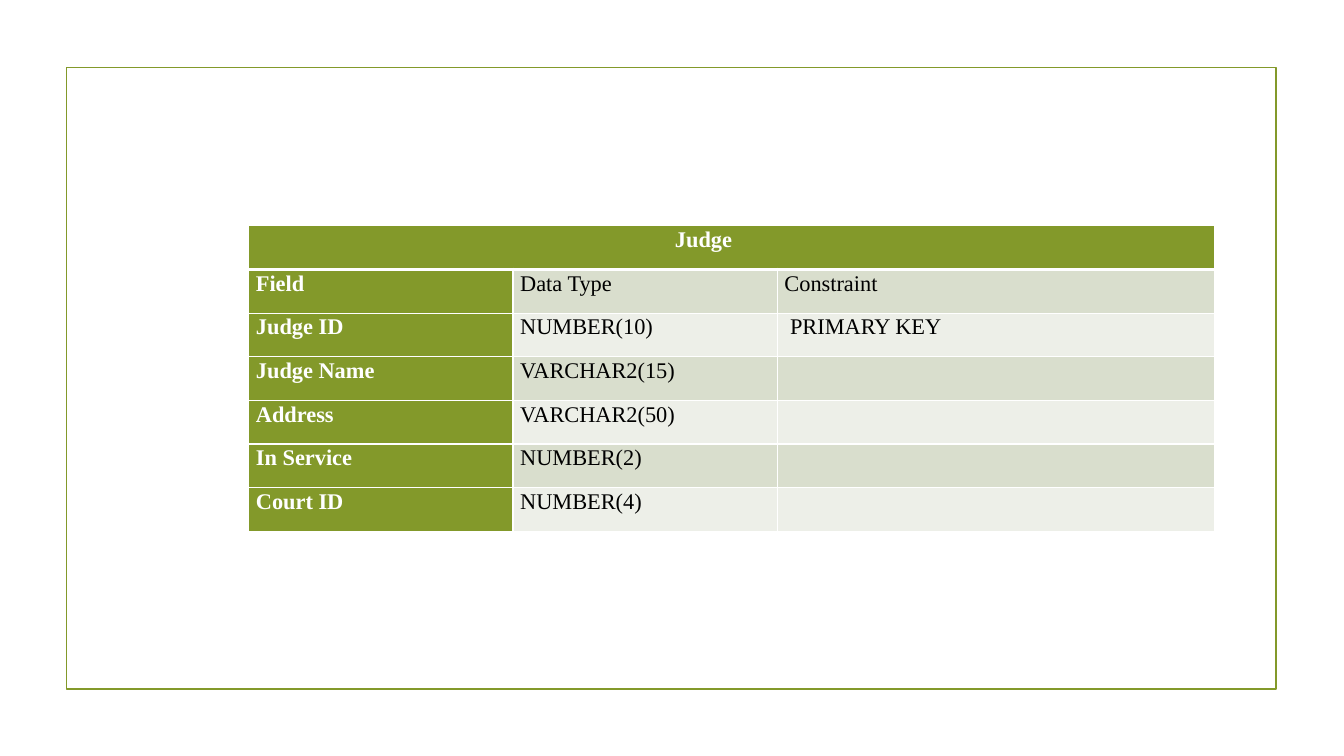
import pptx
import pptx.dml.color
import pptx.enum.shapes
import pptx.oxml.ns
import pptx.util
from lxml import etree

Cm, Pt = pptx.util.Cm, pptx.util.Pt
RGB = pptx.dml.color.RGBColor.from_string
HUES = {"green": "83992A", "dark": "D9DECD", "pale": "EDEFE8",
        "white": "FFFFFF", "black": "000000"}
ROWS = [
    ("Judge", "", ""),
    ("Field", "Data Type", "Constraint"),
    ("Judge ID", "NUMBER(10)", " PRIMARY KEY"),
    ("Judge Name", "VARCHAR2(15)", ""),
    ("Address", "VARCHAR2(50)", ""),
    ("In Service", "NUMBER(2)", ""),
    ("Court ID", "NUMBER(4)", ""),
]


def put_text(cell, text, size=16, hue="black", bold=False, left=0.18):
    cell.margin_left, cell.margin_right = Cm(left), Cm(0.18)
    cell.margin_top = cell.margin_bottom = 0
    para = cell.text_frame.paragraphs[0]
    para.line_spacing = 1.07
    para.space_after = Pt(8)
    para.font.size = Pt(size)
    if text:
        run = para.add_run()
        run.text = text
        run.font.name = "Times New Roman"
        run.font.size = Pt(size)
        run.font.bold = bold
        run.font.color.rgb = RGB(HUES[hue])


def add_edge(cell, side, width):
    qn = pptx.oxml.ns.qn
    props = cell._tc.get_or_add_tcPr()
    line = etree.SubElement(props, qn("a:ln" + side), w=str(Pt(width)))
    fill = etree.SubElement(line, qn("a:solidFill"))
    etree.SubElement(fill, qn("a:srgbClr"), val=HUES["white"])


# Slide
deck = pptx.Presentation()
deck.slide_width, deck.slide_height = Cm(33.87), Cm(19.05)
slide = deck.slides.add_slide(deck.slide_layouts[6])

# Frame around the slide
frame = slide.shapes.add_shape(
    pptx.enum.shapes.MSO_SHAPE.RECTANGLE,
    Cm(1.68), Cm(1.7), Cm(30.48), Cm(15.67))
frame.shadow.inherit = False
frame.fill.background()
frame.line.color.rgb = RGB(HUES["green"])
frame.line.width = Pt(1.25)

# Table of the Judge fields
table = slide.shapes.add_table(
    len(ROWS), 3, Cm(6.27), Cm(5.69), Cm(6.66 * 3), Cm(1.1 * len(ROWS))).table
for col in table.columns:
    col.width = Cm(6.66)
for row in table.rows:
    row.height = Cm(1.1)
table.cell(0, 0).merge(table.cell(0, 2))

# Cells: green heads, banded body, thick rule under the title
for r, row in enumerate(ROWS):
    for c, text in enumerate(row):
        cell = table.cell(r, c)
        head = r == 0 or c == 0
        for side in "LRTB":
            thick = (r, side) in [(0, "B"), (1, "T")]
            add_edge(cell, side, 3 if thick else 1)
        cell.fill.solid()
        band = "dark" if r % 2 else "pale"
        cell.fill.fore_color.rgb = RGB(HUES["green" if head else band])
        put_text(cell, text, hue="white" if head else "black", bold=head,
                 left=0.18 if r else 10.74)

deck.save("out.pptx")
